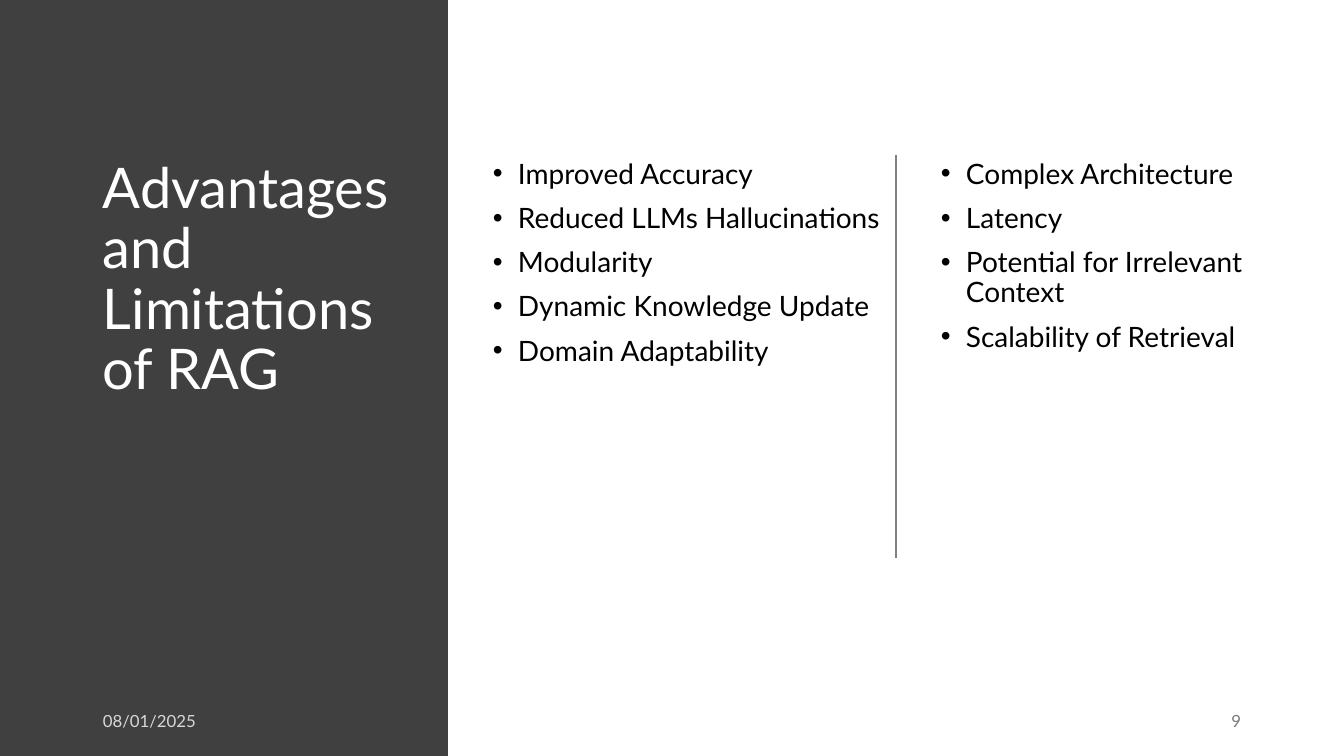
from dataclasses import dataclass

from lxml import etree
from pptx import Presentation
from pptx.dml.color import RGBColor
from pptx.enum.shapes import MSO_CONNECTOR, MSO_SHAPE
from pptx.enum.text import MSO_ANCHOR, PP_ALIGN
from pptx.oxml.ns import qn
from pptx.util import Pt

RECT = MSO_SHAPE.RECTANGLE
STRAIGHT = MSO_CONNECTOR.STRAIGHT
TOP, MIDDLE = MSO_ANCHOR.TOP, MSO_ANCHOR.MIDDLE
LEFT, RIGHT = PP_ALIGN.LEFT, PP_ALIGN.RIGHT

TITLE = "Advantages and Limitations of RAG"
ADVANTAGES = [
    "Improved Accuracy",
    "Reduced LLMs Hallucinations",
    "Modularity",
    "Dynamic Knowledge Update",
    "Domain Adaptability",
]
LIMITATIONS = [
    "Complex Architecture",
    "Latency",
    "Potential for Irrelevant Context",
    "Scalability of Retrieval",
]
DATE = "08/01/2025"
PAGE = "9"


@dataclass(frozen=True)
class Theme:
    font: str = "Lato"
    panel: str = "404040"
    light: str = "FFFFFF"
    ink: str = "000000"
    rule: str = "808080"
    muted: str = "797979"
    title_pt: int = 40
    body_pt: int = 20
    footer_pt: int = 12
    rule_pt: int = 1


theme = Theme()

SLIDE_W, SLIDE_H = 1344, 756
PANEL_W = 448
MARGIN = 93
CONTENT_TOP, CONTENT_H = 155, 481
TITLE_W = 320
GUTTER = 35
DIVIDER_X, DIVIDER_H = 2 * PANEL_W, 403
COLUMNS = [
    (PANEL_W + GUTTER, DIVIDER_X - PANEL_W - GUTTER, ADVANTAGES),
    (DIVIDER_X + GUTTER, 353, LIMITATIONS),
]
FOOTER_TOP, FOOTER_H = 701, 40
DATE_W, PAGE_W = 302, 237
INDENT = 25


def px(n):
    return round(n * 914400 / 100.8)


def rgb(color):
    return RGBColor.from_string(color)


def add_text(slide, box, lines, size, color, anchor=TOP, align=LEFT,
             line_spacing=None, before=0, after=0):
    sp = slide.shapes.add_textbox(*map(px, box))
    tf = sp.text_frame
    tf.word_wrap = True
    tf.vertical_anchor = anchor
    tf.text = "\n".join(lines)
    for p in tf.paragraphs:
        p.alignment = align
        p.line_spacing = line_spacing
        p.space_before, p.space_after = Pt(before), Pt(after)
        for r in p.runs:
            r.font.name = theme.font
            r.font.size = Pt(size)
            r.font.color.rgb = rgb(color)
    return tf


def add_bullets(tf):
    for p in tf.paragraphs:
        pPr = p._p.get_or_add_pPr()
        pPr.set("marL", str(px(INDENT)))
        pPr.set("indent", str(-px(INDENT)))
        etree.SubElement(pPr, qn("a:buFont")).set("typeface", "Arial")
        etree.SubElement(pPr, qn("a:buChar")).set("char", "•")


def set_alpha(tf, percent):
    for clr in tf._txBody.iter(qn("a:srgbClr")):
        etree.SubElement(clr, qn("a:alpha")).set("val", str(percent * 1000))


def add_panel(slide):
    sp = slide.shapes.add_shape(RECT, 0, 0, px(PANEL_W), px(SLIDE_H))
    sp.shadow.inherit = False
    sp.fill.solid()
    sp.fill.fore_color.rgb = rgb(theme.panel)
    sp.line.fill.background()


def add_divider(slide):
    x = px(DIVIDER_X)
    line = slide.shapes.add_connector(
        STRAIGHT, x, px(CONTENT_TOP), x, px(CONTENT_TOP + DIVIDER_H))
    line.line.color.rgb = rgb(theme.rule)
    line.line.width = Pt(theme.rule_pt)
    etree.SubElement(line._element.spPr, qn("a:effectLst"))


def main():
    prs = Presentation()
    prs.slide_width, prs.slide_height = px(SLIDE_W), px(SLIDE_H)
    slide = prs.slides.add_slide(prs.slide_layouts[6])

    add_panel(slide)
    add_text(slide, (MARGIN, CONTENT_TOP, TITLE_W, CONTENT_H), [TITLE],
             theme.title_pt, theme.light, line_spacing=0.9)
    for x, w, items in COLUMNS:
        tf = add_text(slide, (x, CONTENT_TOP, w, CONTENT_H), items,
                      theme.body_pt, theme.ink, line_spacing=0.9, before=10)
        add_bullets(tf)
    add_divider(slide)

    date = add_text(slide, (MARGIN, FOOTER_TOP, DATE_W, FOOTER_H), [DATE],
                    theme.footer_pt, theme.light, anchor=MIDDLE, after=6)
    set_alpha(date, 80)
    page_x = SLIDE_W - MARGIN - PAGE_W
    add_text(slide, (page_x, FOOTER_TOP, PAGE_W, FOOTER_H), [PAGE],
             theme.footer_pt, theme.muted, anchor=MIDDLE, align=RIGHT, after=6)

    prs.save("out.pptx")


if __name__ == "__main__":
    main()
